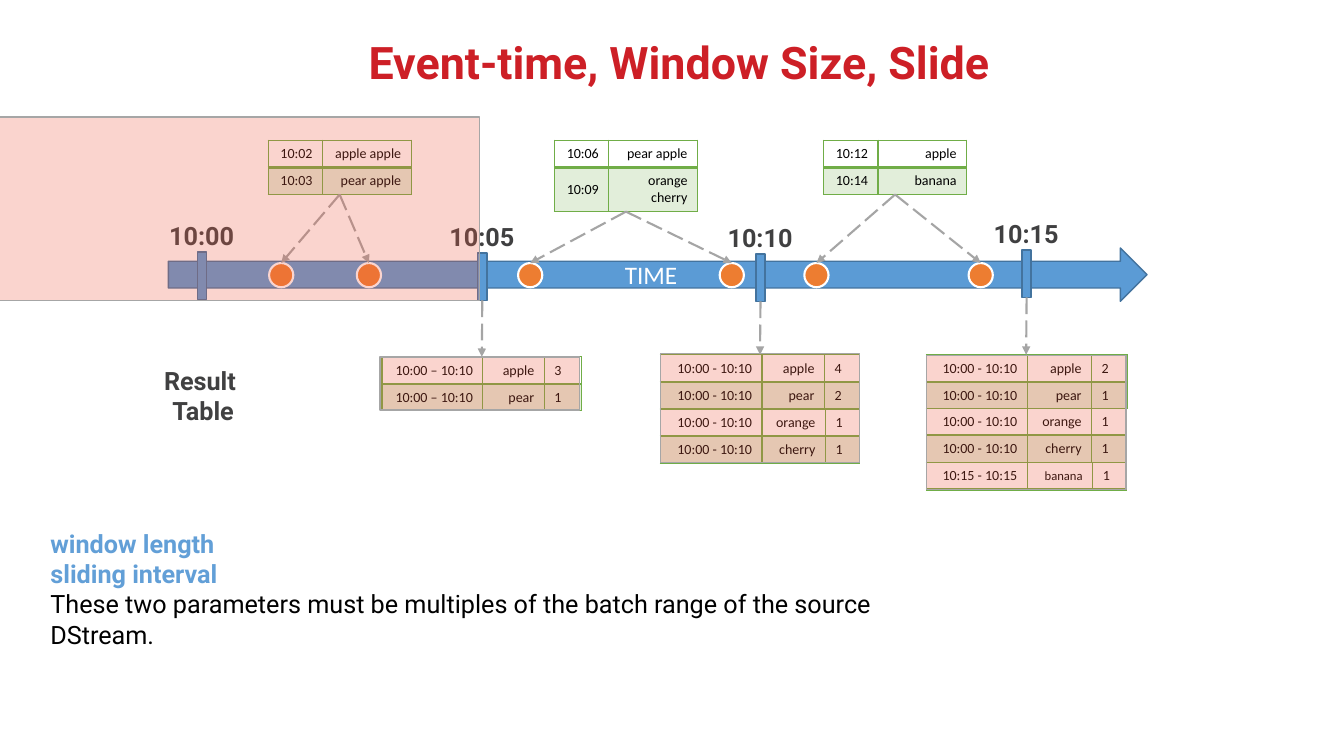
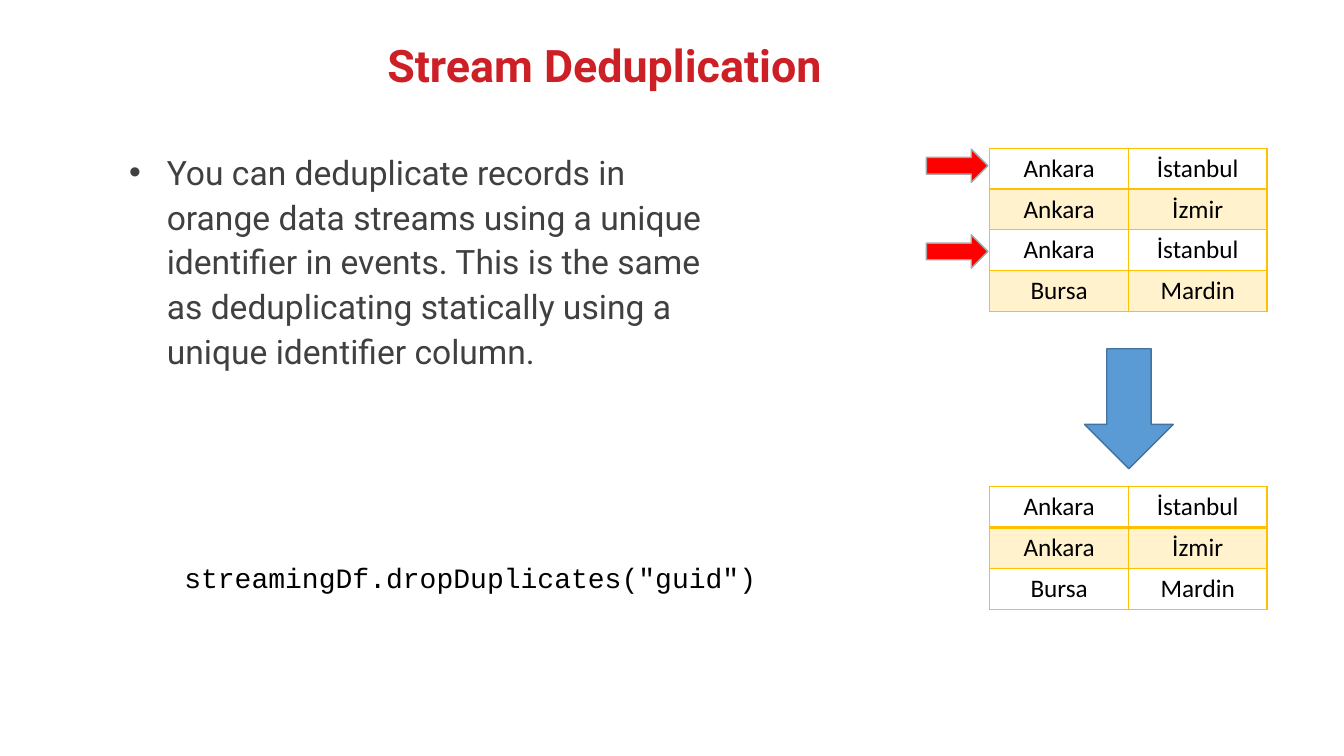
import dataclasses

import lxml.etree
import pptx
import pptx.dml.color
import pptx.enum.dml
import pptx.enum.shapes
import pptx.enum.text
import pptx.oxml.ns
import pptx.util

Inches = pptx.util.Inches
Pt = pptx.util.Pt
qn = pptx.oxml.ns.qn
SHAPE = pptx.enum.shapes.MSO_SHAPE
ALIGN = pptx.enum.text.PP_ALIGN
ANCHOR = pptx.enum.text.MSO_ANCHOR
FIT_TEXT = pptx.enum.text.MSO_AUTO_SIZE.SHAPE_TO_FIT_TEXT


@dataclasses.dataclass(frozen=True)
class Theme:
    red: str = "CD1F26"
    gray: str = "404041"
    black: str = "000000"
    white: str = "FFFFFF"
    blue: str = "5B9BD5"
    blue_edge: str = "43739E"
    blue_text: str = "629FD7"
    green: str = "70AD47"
    gold: str = "FFC000"
    orange: str = "ED7D31"
    window: str = "EE5B42"
    window_edge: str = "A6A6A6"
    dash: str = "A5A5A5"
    marker: str = "FF0000"
    heading: str = "Roboto"
    cell: str = "Calibri"
    code: str = "Courier New"
    title_size: int = 32
    body_size: int = 24
    code_size: int = 20
    label_size: int = 18
    record_size: int = 10
    small_size: int = 9
    band_alpha: int = 20
    window_alpha: int = 26


THEME = Theme()

# Event-time slide
EVENT_TITLE = ("Event-time, Window Size, Slide", (2.38, 0.24, 8.72, 0.69))
TICKS = [("10:00", 1.96, 2.5), ("10:05", 4.74, 2.51), ("10:10", 7.5, 2.52), ("10:15", 10.14, 2.48)]
# left, top, records, row heights, left of each event dot
BATCHES = [
    (2.66, 1.39, [("10:02", "apple apple"), ("10:03", "pear apple")], (0.27, 0.27), (2.67, 3.54)),
    (5.5, 1.39, [("10:06", "pear apple"), ("10:09", "orange cherry")], (0.27, 0.44), (5.14, 7.14)),
    (8.17, 1.39, [("10:12", "apple"), ("10:14", "banana")], (0.27, 0.27), (7.98, 9.61)),
]
BATCH_COLUMNS = (0.54, 0.88)
# left, stacked tables (top, columns, records), window drawn over them
RESULTS = [
    (3.79, [(3.54, (1, 0.61, 0.37),
             [("10:00 – 10:10", "apple", "3"), ("10:00 – 10:10", "pear", "1")])],
     (3.77, 3.54, 1.98, 0.53)),
    (6.55, [(3.52, (1.01, 0.62, 0.35),
             [("10:00 - 10:10", "apple", "4"), ("10:00 - 10:10", "pear", "2")]),
            (4.06, (1.01, 0.63, 0.34),
             [("10:00 - 10:10", "orange", "1"), ("10:00 - 10:10", "cherry", "1")])],
     (6.55, 3.51, 1.98, 1.08)),
    (9.19, [(3.52, (1, 0.64, 0.35),
             [("10:00 - 10:10", "apple", "2"), ("10:00 - 10:10", "pear", "1")]),
            (4.05, (1, 0.64, 0.34),
             [("10:00 - 10:10", "orange", "1"), ("10:00 - 10:10", "cherry", "1")]),
            (4.59, (1, 0.65, 0.33), [("10:15 - 10:15", "banana", "1")])],
     (9.19, 3.53, 1.98, 1.33)),
]
RESULT_ROW = 0.53 / 2
FIRST_WINDOW = (-0.6, 1.16, 5.36, 1.82)
PARAMETERS = [
    ("window length", THEME.blue_text, True),
    ("sliding interval", THEME.blue_text, True),
    ("These two parameters must be multiples of the batch range of the source DStream.",
     THEME.black, False),
]

# Deduplication slide
DEDUP_TITLE = ("Stream Deduplication", (1.24, 0.27, 9.52, 0.69))
DEDUP_TEXT = ("You can deduplicate records in orange data streams using a unique identifier in "
              "events. This is the same as deduplicating statically using a unique identifier column.")
DEDUP_CODE = 'streamingDf.dropDuplicates("guid")'
ROUTES_BEFORE = [("Ankara", "İstanbul"), ("Ankara", "İzmir"), ("Ankara", "İstanbul"),
                 ("Bursa", "Mardin")]
ROUTES_AFTER = list(dict.fromkeys(ROUTES_BEFORE))
ROUTE_COLUMNS = (2.75 / 2,) * 2
ROUTE_ROW = 1.62 / 4
DUPLICATE_TOPS = (1.48, 2.33)


def rgb(color):
    return pptx.dml.color.RGBColor.from_string(color)


def set_attributes(target, values):
    for key, value in values.items():
        setattr(target, key, value)


def write(paragraph, text, size, font, color, bold=False, **layout):
    run = paragraph.add_run()
    run.text = text
    set_attributes(run.font, {"size": Pt(size), "name": font, "bold": bold})
    run.font.color.rgb = rgb(color)
    set_attributes(paragraph, layout)


def place(shape, box):
    set_attributes(shape, dict(zip(("left", "top", "width", "height"), map(Inches, box))))


def fill_with(fill, color, alpha=100):
    fill.solid()
    fill.fore_color.rgb = rgb(color)
    if alpha < 100:
        tint = fill._xPr.find(qn("a:solidFill"))[0]
        lxml.etree.SubElement(tint, qn("a:alpha"), val=str(alpha * 1000))


def add_title(slide, text, box):
    title = slide.shapes.title
    place(title, box)
    title.text_frame.vertical_anchor = ANCHOR.BOTTOM
    write(title.text_frame.paragraphs[0], text, THEME.title_size, THEME.heading, THEME.red,
          True, alignment=ALIGN.CENTER, line_spacing=0.9)


def body_frame(slide, box):
    body = slide.placeholders[1]
    place(body, box)
    body.text_frame.auto_size = FIT_TEXT
    return body.text_frame


def text_frame(slide, box, wrap):
    frame = slide.shapes.add_textbox(*map(Inches, box)).text_frame
    set_attributes(frame, {"word_wrap": wrap, "auto_size": FIT_TEXT})
    return frame


def add_figure(slide, kind, box, fill, edge, width=1, alpha=100):
    figure = slide.shapes.add_shape(kind, *map(Inches, box))
    figure.shadow.inherit = False
    fill_with(figure.fill, fill, alpha)
    figure.line.color.rgb = rgb(edge)
    figure.line.width = Pt(width)
    return figure


def add_dashed_arrow(slide, start, end, source=None, target=None):
    """Join source by its bottom and target by its top where they are given."""
    arrow = slide.shapes.add_connector(pptx.enum.shapes.MSO_CONNECTOR.STRAIGHT,
                                       *map(Inches, start + end))
    if source is not None:
        arrow.begin_connect(source, 2)
    if target is not None:
        arrow.end_connect(target, 0)
    arrow.line.color.rgb = rgb(THEME.dash)
    set_attributes(arrow.line, {"width": Pt(1.5),
                                "dash_style": pptx.enum.dml.MSO_LINE.LONG_DASH})
    lxml.etree.SubElement(arrow.line._get_or_add_ln(), qn("a:tailEnd"), type="triangle")
    lxml.etree.SubElement(arrow._element.spPr, qn("a:effectLst"))


def set_borders(cell, color, widths):
    """Draw left, right, top and bottom borders, widths in points."""
    properties = cell._tc.get_or_add_tcPr()
    for position, (side, width) in enumerate(zip("LRTB", widths)):
        border = lxml.etree.Element(qn("a:ln" + side), w=str(Pt(width)))
        solid = lxml.etree.SubElement(border, qn("a:solidFill"))
        lxml.etree.SubElement(solid, qn("a:srgbClr"), val=color)
        properties.insert(position, border)


def add_grid(slide, left, top, columns, heights, records, color, size, alignments, anchor):
    """Draw a table with every second row tinted and a heavier line below the first."""
    box = (left, top, sum(columns), sum(heights))
    table = slide.shapes.add_table(len(records), len(columns), *map(Inches, box)).table
    set_attributes(table, {"first_row": False, "horz_banding": False})
    for column, width in zip(table.columns, columns):
        column.width = Inches(width)
    for r, (record, height) in enumerate(zip(records, heights)):
        table.rows[r].height = Inches(height)
        for c, (text, alignment) in enumerate(zip(record, alignments)):
            cell = table.cell(r, c)
            cell.vertical_anchor = anchor
            if r % 2:
                fill_with(cell.fill, color, THEME.band_alpha)
            else:
                cell.fill.background()
            set_borders(cell, color, (1, 1, 1, 1 if r else 2))
            text_size = THEME.small_size if (len(records), c) == (1, 1) else size
            write(cell.text_frame.paragraphs[0], text, text_size, THEME.cell, THEME.black,
                  alignment=alignment)


def add_records(slide, left, top, columns, heights, records):
    add_grid(slide, left, top, columns, heights, records, THEME.green, THEME.record_size,
             (ALIGN.RIGHT, ALIGN.RIGHT, None), ANCHOR.MIDDLE)


def add_routes(slide, top, records):
    add_grid(slide, 9.82, top, ROUTE_COLUMNS, [ROUTE_ROW] * len(records), records, THEME.gold,
             THEME.label_size, (ALIGN.CENTER,) * 2, None)


def build_event_time(slide):
    add_title(slide, *EVENT_TITLE)
    timeline = add_figure(slide, SHAPE.RIGHT_ARROW, (1.67, 2.46, 9.71, 0.53),
                          THEME.blue, THEME.blue_edge)
    timeline.text_frame.vertical_anchor = ANCHOR.MIDDLE
    write(timeline.text_frame.paragraphs[0], "TIME", THEME.label_size, THEME.cell, THEME.white,
          alignment=ALIGN.CENTER)

    ticks = []
    for time, left, top in TICKS:
        ticks.append(add_figure(slide, SHAPE.RECTANGLE, (left, top, 0.09, 0.47),
                                THEME.blue, THEME.blue_edge))
        label = text_frame(slide, (left - 0.38, top - 0.36, 0.85, 0.4), False)
        write(label.paragraphs[0], time, THEME.label_size, THEME.heading, THEME.gray, True)

    for (left, tables, _), tick in zip(RESULTS, ticks[1:]):
        for top, columns, records in tables:
            add_records(slide, left, top, columns, [RESULT_ROW] * len(records), records)
        center = tick.left.inches + 0.04
        add_dashed_arrow(slide, (center, 2.98), (center, tables[0][0]), source=tick)

    caption = text_frame(slide, (1.52, 3.57, 0.99, 0.71), False).paragraphs[0]
    caption_style = (THEME.label_size, THEME.heading, THEME.gray, True)
    write(caption, "Result ", *caption_style, alignment=ALIGN.CENTER)
    caption.add_line_break()
    write(caption, "Table", *caption_style)

    for left, top, records, heights, dot_lefts in BATCHES:
        add_records(slide, left, top, BATCH_COLUMNS, heights, records)
        start = (left + sum(BATCH_COLUMNS) / 2, top + sum(heights))
        for dot_left in dot_lefts:
            dot = add_figure(slide, SHAPE.OVAL, (dot_left, 2.61, 0.24, 0.24),
                             THEME.orange, THEME.white, 1.5)
            add_dashed_arrow(slide, start, (dot_left + 0.12, 2.61), target=dot)

    for window in [FIRST_WINDOW] + [result[-1] for result in RESULTS]:
        add_figure(slide, SHAPE.RECTANGLE, window, THEME.window, THEME.window_edge,
                   alpha=THEME.window_alpha)

    frame = body_frame(slide, (0.4, 5.19, 8.91, 1.31))
    for i, (text, color, bold) in enumerate(PARAMETERS):
        paragraph = frame.add_paragraph() if i else frame.paragraphs[0]
        write(paragraph, text, THEME.label_size, THEME.heading, color, bold, space_before=Pt(0))
        properties = paragraph._p.get_or_add_pPr()
        properties.set("marL", "0")
        properties.set("indent", "0")
        lxml.etree.SubElement(properties, qn("a:buNone"))


def build_deduplication(slide):
    add_title(slide, *DEDUP_TITLE)
    write(body_frame(slide, (1.18, 1.41, 5.95, 2.78)).paragraphs[0], DEDUP_TEXT,
          THEME.body_size, THEME.heading, THEME.gray,
          line_spacing=Pt(32), space_before=Pt(0), space_after=Pt(6))
    write(text_frame(slide, (1.73, 5.18, 6.11, 0.69), True).paragraphs[0], DEDUP_CODE,
          THEME.code_size, THEME.code, THEME.black, line_spacing=2.0)
    add_routes(slide, 1.47, ROUTES_BEFORE)
    add_figure(slide, SHAPE.DOWN_ARROW, (10.76, 3.46, 0.88, 1.19), THEME.blue, THEME.blue_edge)
    for top in DUPLICATE_TOPS:
        add_figure(slide, SHAPE.RIGHT_ARROW, (9.19, top, 0.61, 0.33),
                   THEME.marker, THEME.window_edge)
    add_routes(slide, 4.83, ROUTES_AFTER)


def main():
    deck = pptx.Presentation()
    set_attributes(deck, {"slide_width": Inches(40) // 3, "slide_height": Inches(7.5)})
    for build in (build_event_time, build_deduplication):
        build(deck.slides.add_slide(deck.slide_layouts[1]))
    deck.save("out.pptx")


if __name__ == "__main__":
    main()
